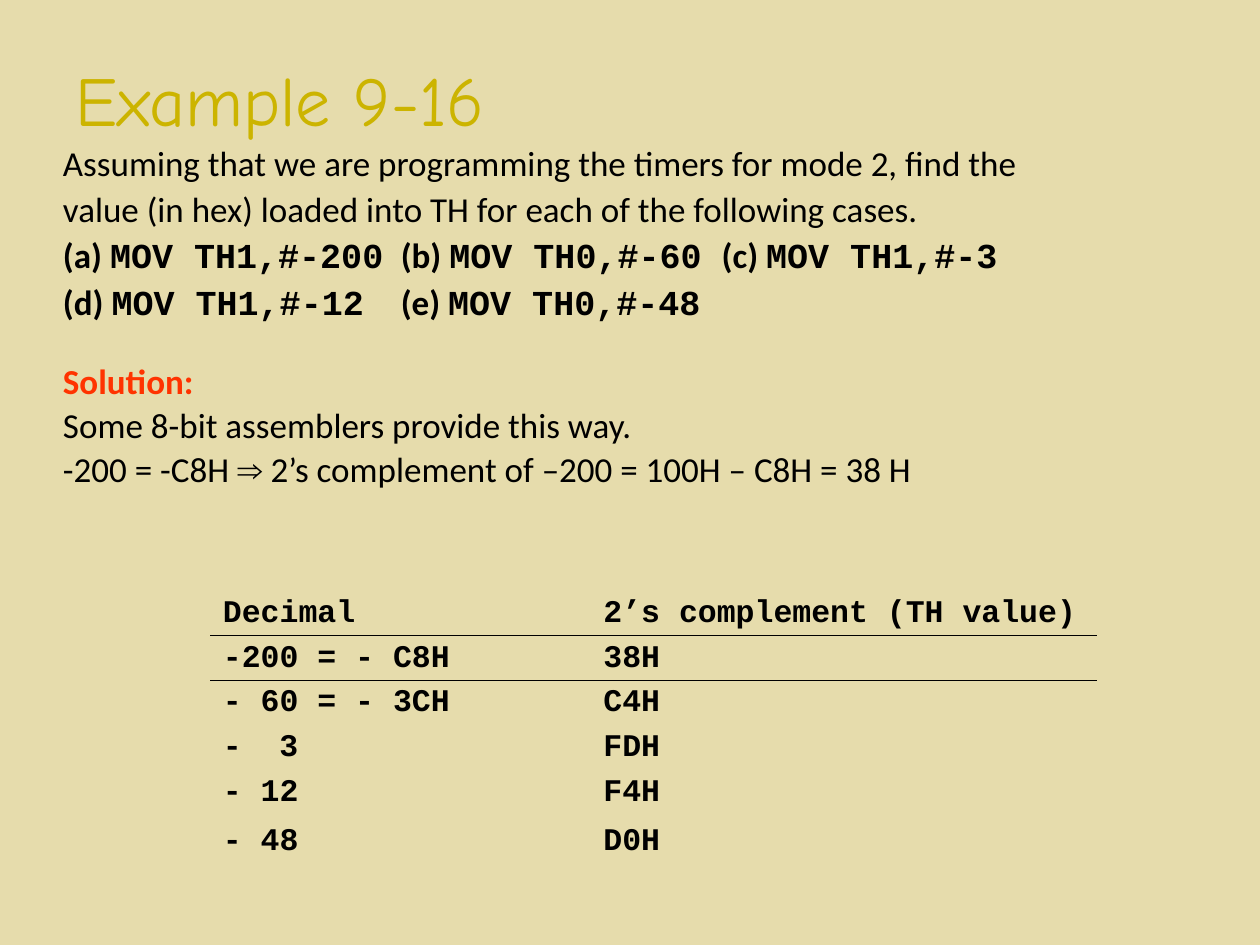
from lxml.etree import SubElement as Sub
from pptx import Presentation as Deck
from pptx.dml.color import RGBColor as Rgb
from pptx.enum.text import MSO_ANCHOR as Anchor, MSO_AUTO_SIZE as Fit, PP_ALIGN as Align
from pptx.oxml import parse_xml as to_xml
from pptx.oxml.ns import nsdecls, qn
from pptx.util import Cm, Pt

HUES = {"back": "E6DCAC", "title": "CCB400", "text": "000000", "key": "FF3300"}
SANS, MONO, SIGN, HAND = "Calibri", "Courier New", "Arial", "Comic Neue"
PLAIN = "{2D5ABB26-0587-4C30-8999-92F81FD0307C}"


class Page:
    def __init__(self, deck):
        self.slide = deck.slides.add_slide(deck.slide_layouts[5])
        fill = self.slide.background.fill
        fill.solid()
        fill.fore_color.rgb = Rgb.from_string(HUES["back"])

    def style(self, run, size, face=SANS, bold=False, hue="text"):
        font = run.font
        font.size, font.name, font.bold = Pt(size), face, bold
        font.color.rgb = Rgb.from_string(HUES[hue])

    def tabs(self, para, stops):
        stop_list = Sub(para._p.get_or_add_pPr(), qn("a:tabLst"))
        for pos, side in stops:
            Sub(stop_list, qn("a:tab"), pos=str(Cm(pos)), algn=side)

    def title(self, text, x, y, w, h):
        box = self.slide.shapes.title
        box.left, box.top, box.width, box.height = Cm(x), Cm(y), Cm(w), Cm(h)
        frame = box.text_frame
        frame.text = text
        frame.auto_size = Fit.NONE
        frame.vertical_anchor = Anchor.TOP
        frame.margin_top = Cm(0.3)
        para = frame.paragraphs[0]
        para.alignment = Align.LEFT
        self.style(para.runs[0], 40, HAND, hue="title")

    def body(self, lines, x, y, w, h, stops):
        box = self.slide.shapes.add_textbox(Cm(x), Cm(y), Cm(w), Cm(h))
        frame = box.text_frame
        frame.word_wrap = True
        for i, (gap, parts) in enumerate(lines):
            para = frame.add_paragraph() if i else frame.paragraphs[0]
            para.space_before = Pt(gap)
            if any("\t" in text for text, _ in parts):
                self.tabs(para, stops)
            for text, look in parts:
                run = para.add_run()
                run.text = text
                self.style(run, 20, **look)

    def rule(self, cell, side):
        line = to_xml(
            f'<a:{side} {nsdecls("a")} w="{Pt(0.45)}"><a:solidFill>'
            f'<a:srgbClr val="{HUES["text"]}"/></a:solidFill></a:{side}>')
        cell._tc.get_or_add_tcPr().insert(0, line)

    def table(self, rows, x, y, cols, highs, stops):
        frame = self.slide.shapes.add_table(
            len(rows), len(cols), Cm(x), Cm(y), Cm(sum(cols)), Cm(sum(highs)))
        grid = frame.table
        grid.first_row = grid.horz_banding = False
        grid._tbl.tblPr.find(qn("a:tableStyleId")).text = PLAIN
        for col, wide in zip(grid.columns, cols):
            col.width = Cm(wide)
        for r, (row, high) in enumerate(zip(rows, highs)):
            grid.rows[r].height = Cm(high)
            for c, text in enumerate(row):
                self.cell(grid.cell(r, c), text, stops)
                if r < 2:
                    self.rule(grid.cell(r, c), ("lnB", "lnT")[r])

    def cell(self, cell, text, stops):
        cell.fill.background()
        cell.vertical_anchor = Anchor.MIDDLE
        para = cell.text_frame.paragraphs[0]
        para.text = text
        para.line_spacing = 0.85
        if "\t" in text:
            self.tabs(para, stops)
        self.style(para.runs[0], 18, MONO, True)


def main():
    deck = Deck()
    deck.slide_width, deck.slide_height = Cm(25.4), Cm(19.05)
    page = Page(deck)
    norm, bold, code = {}, {"bold": True}, {"face": MONO, "bold": True}
    lines = [
        (0, [("Assuming that we are programming the timers for mode 2, find the", norm)]),
        (2.5, [("value (in hex) loaded into TH for each of the following cases.", norm)]),
        (2.5, [("(a) ", bold), ("MOV TH1,#-200", code),
               ("\t(b) ", bold), ("MOV TH0,#-60", code),
               ("\t(c) ", bold), ("MOV TH1,#-3", code)]),
        (2.5, [("(d) ", bold), ("MOV TH1,#-12", code),
               ("\t(e) ", bold), ("MOV TH0,#-48", code)]),
        (21, [("Solution:", {"bold": True, "hue": "key"})]),
        (1.2, [("Some 8-bit assemblers provide this way.", norm)]),
        (1.2, [("-200 = -C8H ", norm), ("⇒", {"face": SIGN}),
               (" 2’s complement of –200 = 100H – C8H = 38 H", norm)]),
    ]
    rows = [
        ("Decimal", "2’s complement (TH value)"),
        ("-200 = - C8H", "38H"),
        ("- 60 = - 3CH", "C4H"),
        ("-\t3", "FDH"),
        ("- 12", "F4H"),
        ("- 48", "D0H"),
    ]
    page.title("Example 9-16", 1.27, 0.84, 22.23, 2.84)
    page.body(lines, 1.02, 2.72, 23.5, 13.97, [(6.81, "l"), (13.28, "l")])
    page.table(rows, 4.24, 11.91, [7.67, 10.21], [0.87] * 5 + [1.07], [(1.52, "r")])
    deck.save("out.pptx")


if __name__ == "__main__":
    main()
